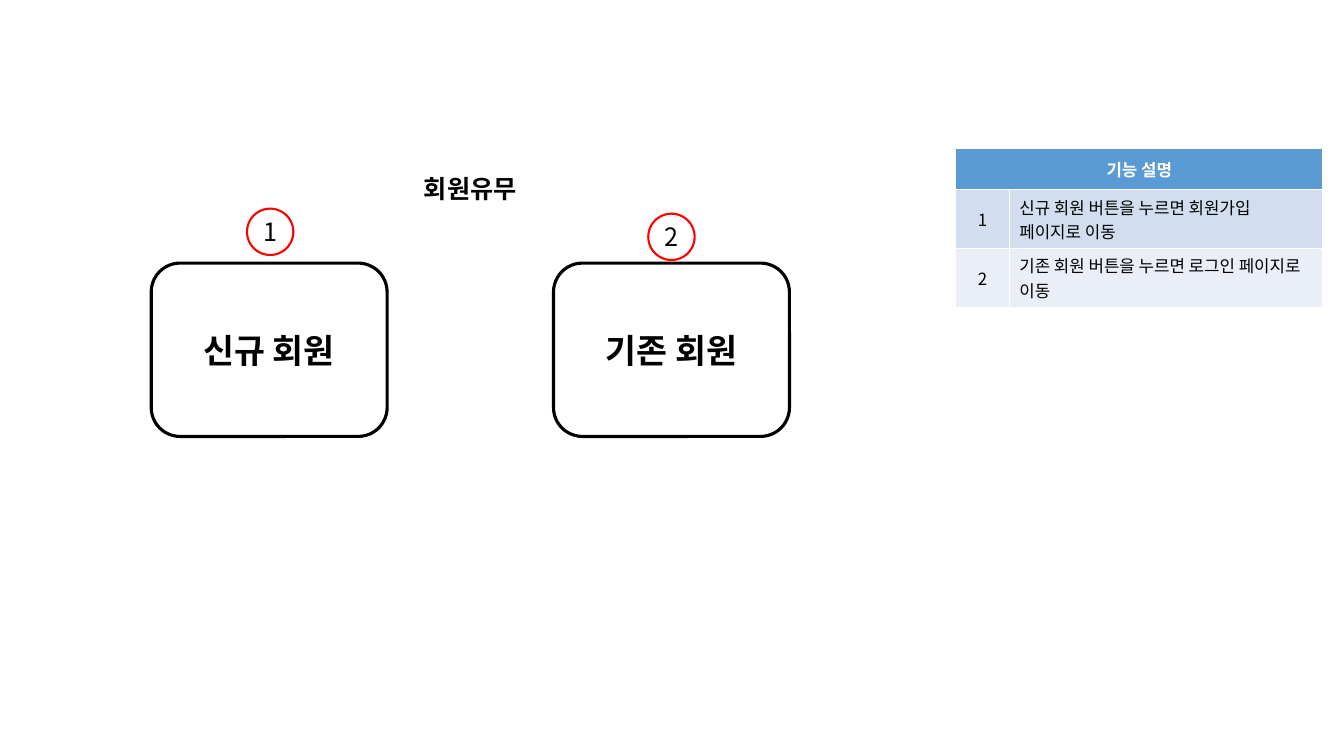
from dataclasses import dataclass

from lxml import etree
from pptx import Presentation
from pptx import util as u
from pptx.dml.color import RGBColor
from pptx.enum import shapes, text
from pptx.oxml.ns import qn


@dataclass(frozen=True)
class Theme:
    font: str = "Noto Sans CJK KR"
    black: str = "000000"
    white: str = "FFFFFF"
    red: str = "FF0000"
    header: str = "5B9BD5"
    bands: tuple = ("D2DEEF", "EAEFF7")
    button: int = 24
    label: int = 18
    body: int = 12


theme = Theme()


def write(tf, words, size, color=theme.black, bold=False, align=text.PP_ALIGN.CENTER):
    tf.text = words
    tf.word_wrap = True
    tf.vertical_anchor = text.MSO_ANCHOR.MIDDLE
    p = tf.paragraphs[0]
    p.alignment = align
    p.font.size = u.Pt(size)
    p.font.bold = bold
    p.font.color.rgb = RGBColor.from_string(color)
    p.font.name = theme.font
    props = p._p.get_or_add_pPr().find(qn("a:defRPr"))
    etree.SubElement(props, qn("a:ea"), typeface=theme.font)


def add_outline(s, kind, left, top, width, height, color, weight):
    sp = s.shapes.add_shape(kind, u.Inches(left), u.Inches(top), u.Inches(width), u.Inches(height))
    sp.shadow.inherit = False
    sp.fill.background()
    sp.line.color.rgb = RGBColor.from_string(color)
    sp.line.width = u.Pt(weight)
    return sp


prs = Presentation()
prs.slide_width = u.Inches(13.33)
prs.slide_height = u.Inches(7.5)
s = prs.slides.add_slide(prs.slide_layouts[5])

title = s.shapes.title
title.left, title.top = u.Inches(3.84), u.Inches(1.67)
title.width, title.height = u.Inches(1.65), u.Inches(0.4)
write(title.text_frame, "회원유무", theme.label, bold=True)
title.text_frame.auto_size = text.MSO_AUTO_SIZE.NONE

descriptions = [
    "신규 회원 버튼을 누르면 회원가입 페이지로 이동",
    "기존 회원 버튼을 누르면 로그인 페이지로 이동",
]
table = s.shapes.add_table(
    3, 2, u.Inches(9.48), u.Inches(1.47), u.Inches(3.64), u.Inches(1.23)
).table
table.columns[0].width = u.Inches(0.53)
table.columns[1].width = u.Inches(3.11)

header = table.cell(0, 0)
header.merge(table.cell(0, 1))
header.fill.solid()
header.fill.fore_color.rgb = RGBColor.from_string(theme.header)
header.vertical_anchor = text.MSO_ANCHOR.MIDDLE
write(header.text_frame, "기능 설명", theme.body, theme.white, True)

aligns = (text.PP_ALIGN.CENTER, text.PP_ALIGN.LEFT)
for number, (description, band) in enumerate(zip(descriptions, theme.bands), 1):
    for column, words in enumerate((str(number), description)):
        cell = table.cell(number, column)
        cell.fill.solid()
        cell.fill.fore_color.rgb = RGBColor.from_string(band)
        cell.vertical_anchor = text.MSO_ANCHOR.MIDDLE
        write(cell.text_frame, words, theme.body, align=aligns[column])

buttons = [("신규 회원", 1.5, 2.45, 2.07), ("기존 회원", 5.49, 6.43, 2.12)]
for number, (name, left, badge_left, badge_top) in enumerate(buttons, 1):
    button = add_outline(s, shapes.MSO_SHAPE.ROUNDED_RECTANGLE,
                         left, 2.61, 2.34, 1.72, theme.black, 2.25)
    write(button.text_frame, name, theme.button, bold=True)
    badge = add_outline(s, shapes.MSO_SHAPE.OVAL,
                        badge_left, badge_top, 0.46, 0.46, theme.red, 1.5)
    write(badge.text_frame, str(number), theme.label)

prs.save("out.pptx")
